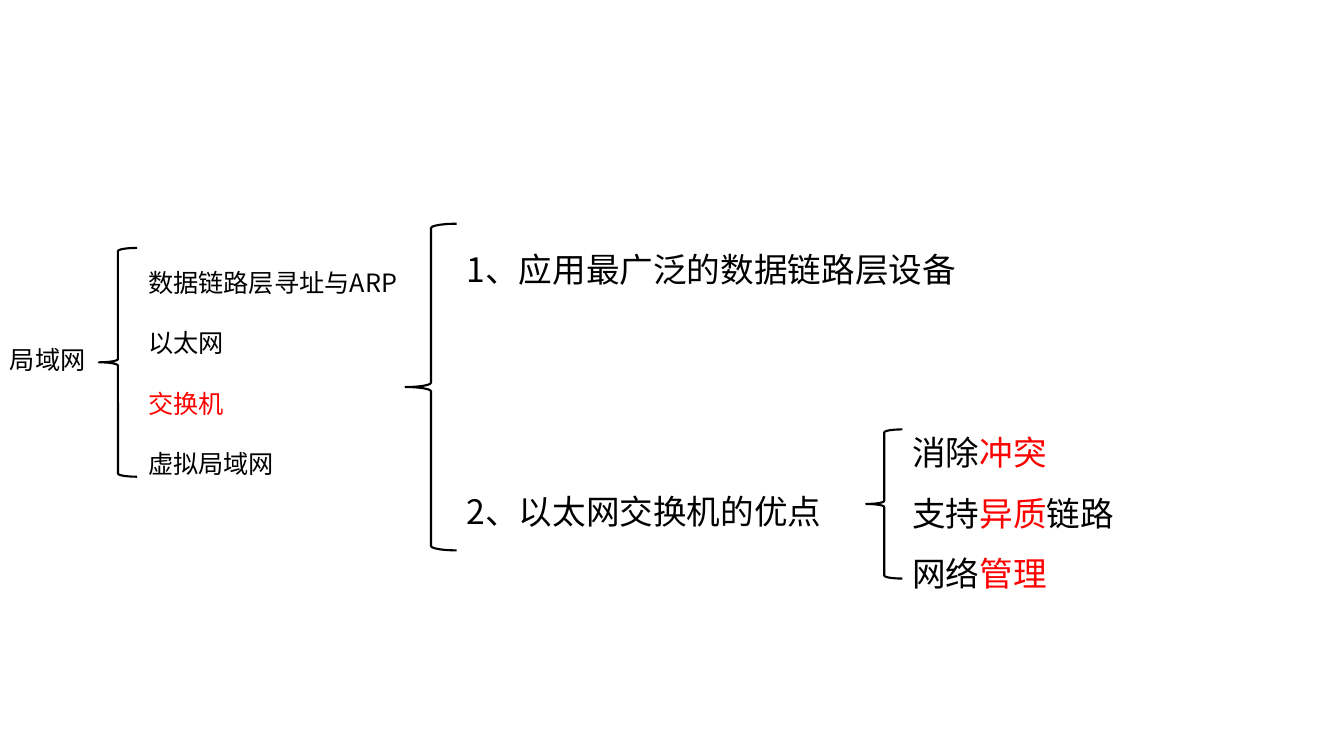
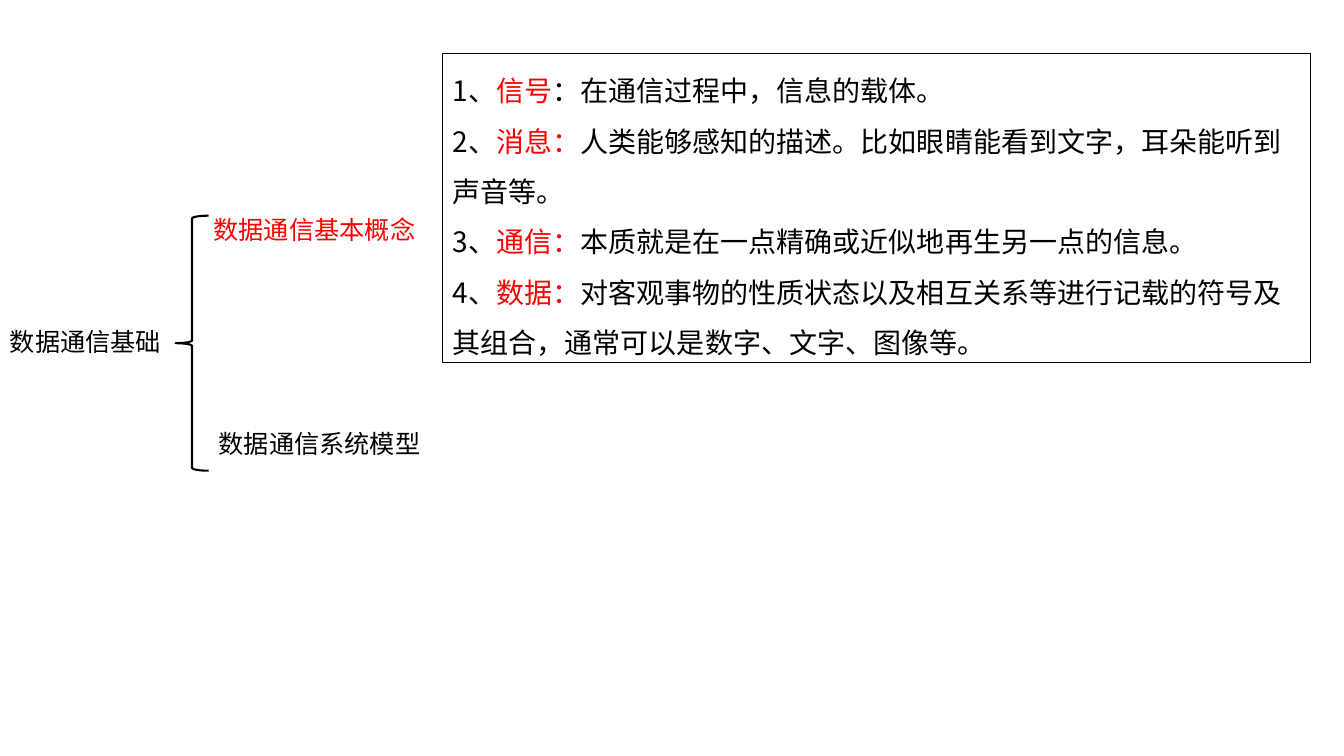
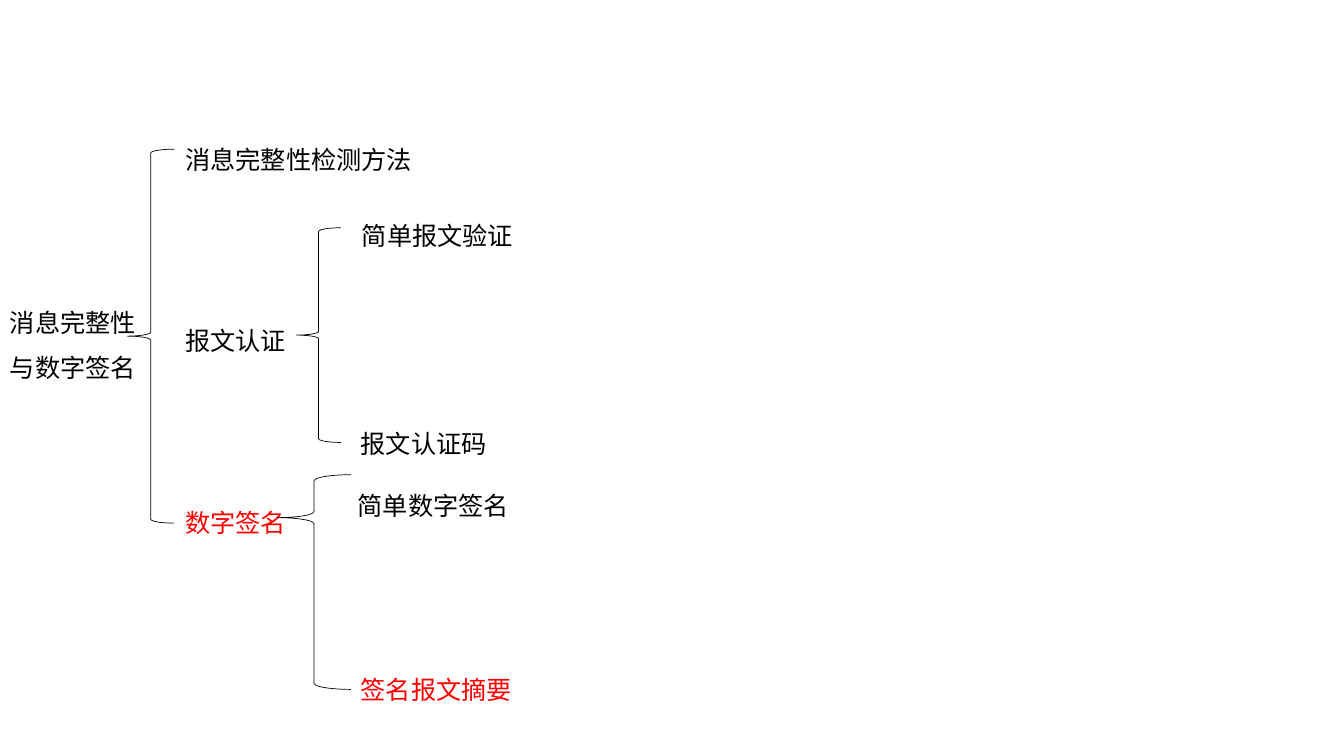
from lxml import etree
from pptx import Presentation
from pptx.dml.color import RGBColor
from pptx.enum.shapes import MSO_SHAPE
from pptx.enum.text import MSO_ANCHOR, PP_ALIGN
from pptx.oxml.ns import qn
from pptx.util import Pt

PX = 9144
FONT = "Noto Sans CJK SC"
BLACK = RGBColor(0x00, 0x00, 0x00)
RED = RGBColor(0xFF, 0x00, 0x00)
BRACE = MSO_SHAPE.LEFT_BRACE
RECTANGLE = MSO_SHAPE.RECTANGLE
LEFT = PP_ALIGN.LEFT
JUSTIFY = PP_ALIGN.JUSTIFY
TOP = MSO_ANCHOR.TOP
MIDDLE = MSO_ANCHOR.MIDDLE


def emu(*lengths):
    """Turn px lengths into EMU."""
    return [length * PX for length in lengths]


def write(frame, lines, size=18, spacing=1.0, gap=0, align=LEFT, anchor=TOP):
    """Fill a frame with lines in which every second part between bars is red."""
    frame.word_wrap = True
    frame.vertical_anchor = anchor
    frame.text = "\n".join(line.replace("|", "") for line in lines)
    for index, (paragraph, line) in enumerate(zip(frame.paragraphs, lines)):
        paragraph.text = ""
        paragraph.alignment = align
        paragraph.line_spacing = spacing
        paragraph.space_before = Pt(gap if index else 0)
        for order, part in enumerate(line.split("|")):
            if not part:
                continue
            run = paragraph.add_run()
            run.text = part
            run.font.size = Pt(size)
            run.font.name = FONT
            run.font.color.rgb = RED if order % 2 else BLACK
            east_asian = etree.SubElement(run.font._element, qn("a:ea"))
            east_asian.set("typeface", FONT)


def label(slide, box, *lines, **style):
    """Place lines of text in a box."""
    write(slide.shapes.add_textbox(*emu(*box)).text_frame, lines, **style)


def outlined(slide, kind, box, weight):
    """Draw an unfilled black outline."""
    shape = slide.shapes.add_shape(kind, *emu(*box))
    shape.shadow.inherit = False
    shape.fill.background()
    shape.line.color.rgb = BLACK
    shape.line.width = Pt(weight)
    return shape


def lan_topics(slide, left, top):
    """Place the local network topics."""
    label(slide, (left, top + 107, 137, 40), "局域网")
    outlined(slide, BRACE, (left + 98, top + 16, 38, 227), 1.5)
    label(slide, (left + 137, top, 446, 252), "数据链路层寻址与ARP", "以太网",
          "|交换机", "虚拟局域网", spacing=2.0)


def switch_points(slide, left, top):
    """Place the points about switches and their advantages."""
    outlined(slide, BRACE, (left, top, 51, 324), 1.5)
    label(slide, (left + 51, top, 511, 313), "1、应用最广泛的数据链路层设备",
          "2、以太网交换机的优点", size=24, spacing=1.5, gap=129.6)
    label(slide, (left + 493, top + 182, 328, 192), "消除|冲突", "支持|异质|链路",
          "网络|管理", size=24, spacing=1.5)
    outlined(slide, BRACE, (left + 457, top + 204, 36, 148), 1.5)


def communication_topics(slide, left, top):
    """Place the data communication topics."""
    label(slide, (left, top + 111, 174, 40), "数据通信基础")
    outlined(slide, BRACE, (left + 174, top + 6, 33, 253), 1.5)
    label(slide, (left + 202, top, 237, 41), "|数据通信基本概念")
    label(slide, (left + 207, top + 212, 251, 40), "数据通信系统模型")


def definitions(slide, box):
    """Place the framed definitions."""
    panel = outlined(slide, RECTANGLE, box, 0.75)
    write(panel.text_frame, (
        "1、|信号|：在通信过程中，信息的载体。",
        "2、|消息：|人类能够感知的描述。比如眼睛能看到文字，耳朵能听到声音等。",
        "3、|通信：|本质就是在一点精确或近似地再生另一点的信息。",
        "4、|数据：|对客观事物的性质状态以及相互关系等进行记载的符号及其组合，"
        "通常可以是数字、文字、图像等。",
    ), size=20, spacing=1.5, anchor=MIDDLE)


def integrity_topics(slide, left, top):
    """Place the message integrity topics."""
    label(slide, (left + 174, top, 496, 419), "消息完整性检测方法", "报文认证",
          "|数字签名", spacing=1.5, gap=97.2, align=JUSTIFY)
    outlined(slide, BRACE, (left + 126, top + 25, 47, 371), 0.5)
    label(slide, (left, top + 162, 191, 96), "消息完整性", "与数字签名",
          spacing=1.5, align=JUSTIFY)


def authentication_methods(slide, left, top):
    """Place the message authentication methods."""
    label(slide, (left + 55, top, 172, 50), "简单报文验证", spacing=1.5)
    label(slide, (left + 54, top + 221, 146, 40), "报文认证码")
    outlined(slide, BRACE, (left, top + 27, 44, 213), 0.5)


def signature_methods(slide, left, top):
    """Place the digital signature methods."""
    label(slide, (left + 70, top, 285, 57), "简单数字签名", spacing=Pt(37))
    label(slide, (left + 73, top + 204, 243, 40), "|签名报文摘要")
    brace = outlined(slide, BRACE, (left, top + 11, 73, 213), 0.5)
    brace.adjustments[1] = 0.2


def main():
    """Build and save the slides."""
    deck = Presentation()
    deck.slide_width, deck.slide_height = emu(1333, 750)
    blank = deck.slide_layouts[6]
    switches, communication, integrity = (
        deck.slides.add_slide(blank) for _ in range(3))
    lan_topics(switches, 0, 230)
    switch_points(switches, 402, 222)
    communication_topics(communication, 0, 208)
    definitions(communication, (439, 53, 861, 307))
    integrity_topics(integrity, 0, 123)
    authentication_methods(integrity, 294, 199)
    signature_methods(integrity, 275, 460)
    deck.save("out.pptx")


if __name__ == "__main__":
    main()
